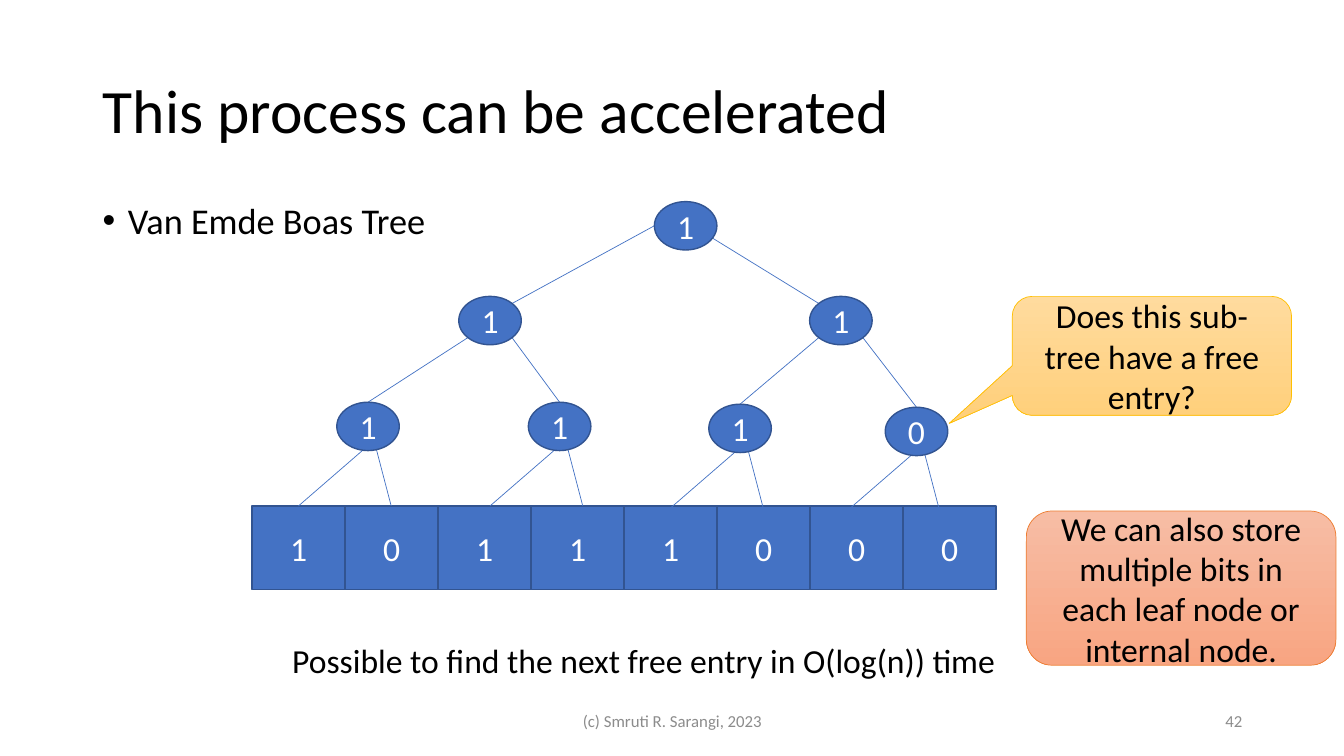
from lxml import etree
from pptx import Presentation
from pptx.dml.color import RGBColor
from pptx.enum.shapes import MSO_CONNECTOR, MSO_SHAPE
from pptx.enum.text import MSO_ANCHOR, MSO_AUTO_SIZE, PP_ALIGN
from pptx.oxml.ns import qn
from pptx.util import Inches, Pt

LEFT, CENTER, RIGHT = PP_ALIGN.LEFT, PP_ALIGN.CENTER, PP_ALIGN.RIGHT
TOP, MIDDLE = MSO_ANCHOR.TOP, MSO_ANCHOR.MIDDLE

# Content
TITLE = "This process can be accelerated"
BULLET = "Van Emde Boas Tree"
LEAF_BITS = "10111000"
# Tree nodes: bit, left, top
NODES = {
    "root": ("1", 6.49, 2.0),
    "left": ("1", 4.55, 2.94),
    "right": ("1", 8.03, 2.94),
    "pair 1": ("1", 3.34, 3.99),
    "pair 2": ("1", 5.24, 3.99),
    "pair 3": ("1", 7.03, 4.01),
    "pair 4": ("0", 8.78, 4.04),
}
# Branches: parent, port on it, child, port on it
BRANCHES = [
    ("root", "west", "left", "north-east"),
    ("root", "east", "right", "north-west"),
    ("left", "south-west", "pair 1", "north"),
    ("left", "south-east", "pair 2", "north"),
    ("right", "south-west", "pair 3", "north"),
    ("right", "south-east", "pair 4", "north"),
]
QUESTION = "Does this sub-tree have a free entry?"
STORAGE = "We can also store multiple bits in each leaf node or internal node."
RESULT = "Possible to find the next free entry in O(log(n)) time"
FOOTER = "(c) Smruti R. Sarangi, 2023"
PAGE = "42"

# Layout
SLIDE_W, SLIDE_H = 13.33, 7.5
MARGIN = 0.92
CONTENT_W = SLIDE_W - 2 * MARGIN
FOOTER_TOP, FOOTER_H = 6.95, 0.4
LEAF_X, LEAF_Y, LEAF_H = 2.5, 5.02, 0.83
LEAF_W = 7.38 / len(LEAF_BITS)
NODE_W, NODE_H = 0.62, 0.48
# Ports as shares of a node's width and height
PORTS = {
    "north": (0.5, 0), "west": (0, 0.5), "east": (0.9, 0.73),
    "north-west": (0.15, 0.15), "north-east": (0.85, 0.15),
    "south-west": (0.15, 0.85), "south-east": (0.85, 0.85),
}
# Each lowest node fans out to two leaves, measured from its corner
FAN_START = (0.37, 0.38)
FAN_ENDS = [(-0.38, 1.03), (0.54, 1.03)]

# Style
FONT = "Calibri"
BLUE, NAVY = "4472C4", "325491"
BLACK, WHITE, GREY = "000000", "FFFFFF", "8C8C8C"
GOLD, GOLD_FADE = "FFC000", ("FFDB9E", "FFD07C")
ORANGE, ORANGE_FADE = "ED7D31", ("F7BDA5", "F8A582")


def color(hex_string):
    return RGBColor.from_string(hex_string)


def write(shape, text, size=24, ink=BLACK, align=CENTER, anchor=MIDDLE, wrap=True):
    frame = shape.text_frame
    frame.word_wrap = wrap
    frame.auto_size = MSO_AUTO_SIZE.NONE
    frame.vertical_anchor = anchor
    paragraph = frame.paragraphs[0]
    paragraph.alignment = align
    run = paragraph.add_run()
    run.text = text
    run.font.name, run.font.size = FONT, Pt(size)
    run.font.color.rgb = color(ink)
    return paragraph


def add_label(slide, box, text, **style):
    label = slide.shapes.add_textbox(*map(Inches, box))
    return write(label, text, **style)


def add_block(slide, kind, box, outline, width):
    block = slide.shapes.add_shape(kind, *map(Inches, box))
    block.shadow.inherit = False
    block.line.color.rgb = color(outline)
    block.line.width = Pt(width)
    return block


def add_bit(slide, kind, box, bit):
    block = add_block(slide, kind, box, NAVY, 1)
    block.fill.solid()
    block.fill.fore_color.rgb = color(BLUE)
    write(block, bit, ink=WHITE)


def add_note(slide, kind, box, text, outline, fade):
    note = add_block(slide, kind, box, outline, 0.5)
    note.fill.gradient()
    note.fill.gradient_angle = 270
    for stop, shade in zip(note.fill.gradient_stops, fade):
        stop.color.rgb = color(shade)
    write(note, text)
    return note


def add_branch(slide, start, end):
    branch = slide.shapes.add_connector(
        MSO_CONNECTOR.STRAIGHT, *map(Inches, (*start, *end)))
    branch.line.color.rgb = color(BLUE)
    branch.line.width = Pt(0.5)
    etree.SubElement(branch._element.spPr, qn("a:effectLst"))


def port_point(node, port):
    _, left, top = NODES[node]
    across, down = PORTS[port]
    return left + across * NODE_W, top + down * NODE_H


def add_heading(slide):
    title = slide.shapes.title
    title.left, title.top, title.width, title.height = map(
        Inches, (MARGIN, 0.4, CONTENT_W, 1.45))
    write(title, TITLE, size=44, align=LEFT).line_spacing = 0.9

    point = add_label(slide, (MARGIN, 2, 5, 0.48), BULLET,
                      size=25.9, align=LEFT, anchor=TOP)
    point.line_spacing = 0.8
    properties = point._p.get_or_add_pPr()
    properties.set("marL", str(Inches(0.25)))
    properties.set("indent", str(-Inches(0.25)))
    etree.SubElement(properties, qn("a:buFont")).set("typeface", "Arial")
    etree.SubElement(properties, qn("a:buChar")).set("char", "•")


def add_tree(slide):
    # Leaf row
    for column, bit in enumerate(LEAF_BITS):
        box = (LEAF_X + column * LEAF_W, LEAF_Y, LEAF_W, LEAF_H)
        add_bit(slide, MSO_SHAPE.RECTANGLE, box, bit)
    # Branches
    for parent, parent_port, child, child_port in BRANCHES:
        add_branch(slide, port_point(parent, parent_port),
                   port_point(child, child_port))
    for name, (_, left, top) in NODES.items():
        if name.startswith("pair"):
            start = (left + FAN_START[0], top + FAN_START[1])
            for across, down in FAN_ENDS:
                add_branch(slide, start, (left + across, top + down))
    # Nodes
    for bit, left, top in NODES.values():
        add_bit(slide, MSO_SHAPE.OVAL, (left, top, NODE_W, NODE_H), bit)


def add_notes(slide):
    question = add_note(slide, MSO_SHAPE.ROUNDED_RECTANGULAR_CALLOUT,
                        (10.04, 2.94, 2.77, 1.18), QUESTION, GOLD, GOLD_FADE)
    for index, value in enumerate((-0.726, 0.569, 0.167)):
        question.adjustments[index] = value
    add_note(slide, MSO_SHAPE.ROUNDED_RECTANGLE,
             (10.18, 5.07, 3.07, 1.53), STORAGE, ORANGE, ORANGE_FADE)
    add_label(slide, (2.8, 6.3, 7.24, 0.5), RESULT,
              align=LEFT, anchor=TOP, wrap=False)


def add_footer(slide):
    add_label(slide, (4.42, FOOTER_TOP, 4.5, FOOTER_H), FOOTER, size=12, ink=GREY)
    add_label(slide, (9.42, FOOTER_TOP, 3, FOOTER_H), PAGE,
              size=12, ink=GREY, align=RIGHT)


def main():
    deck = Presentation()
    deck.slide_width, deck.slide_height = Inches(SLIDE_W), Inches(SLIDE_H)
    slide = deck.slides.add_slide(deck.slide_layouts[5])
    add_heading(slide)
    add_tree(slide)
    add_notes(slide)
    add_footer(slide)
    deck.save("out.pptx")


if __name__ == "__main__":
    main()
